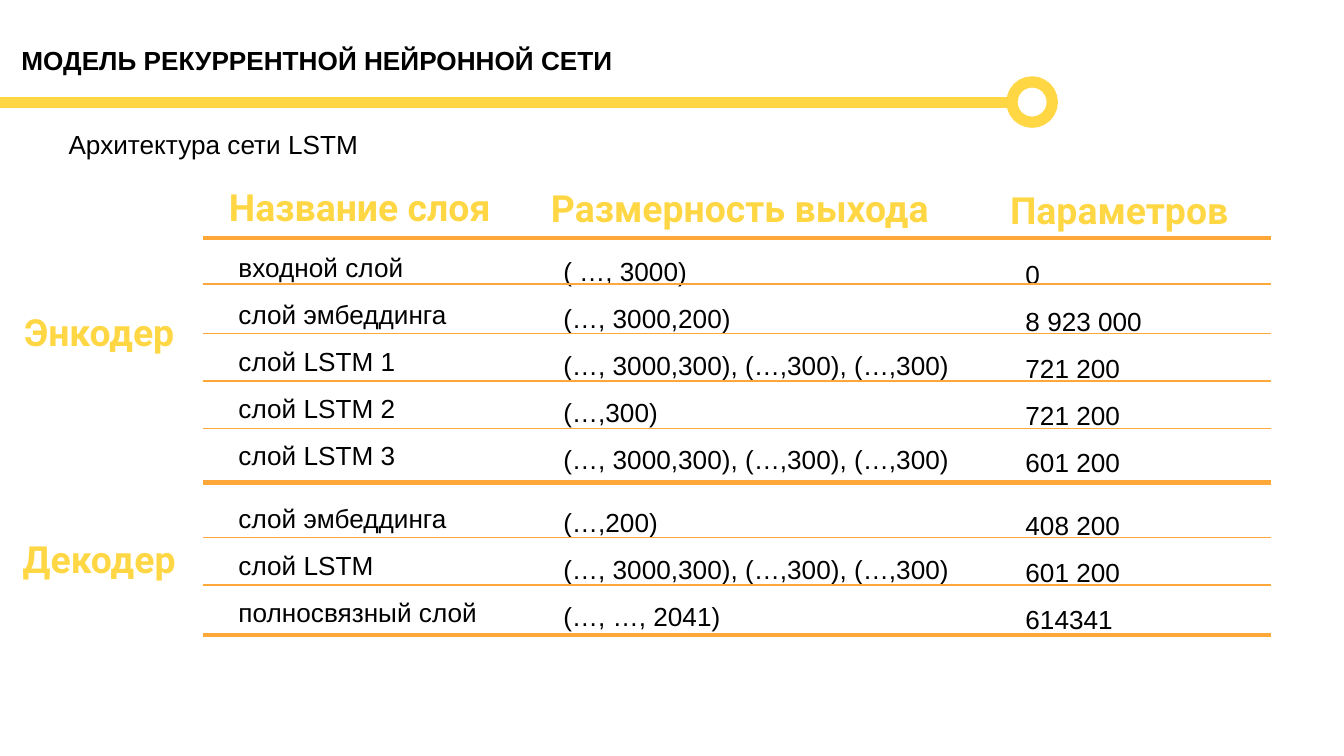
from collections import namedtuple
from lxml import etree
from pptx import Presentation
from pptx import util as u
from pptx.dml.color import RGBColor
from pptx.enum import shapes, text
from pptx.oxml.ns import qn

# The grid has 100 columns and 56.25 rows of square cells (16:9)
COLUMNS, ROWS = 100, 56.25
CELL = u.Inches(0.1)
YELLOW, ORANGE, BLACK = "FFD745", "FEA83A", "000000"
BODY = dict(name="Arial", size=u.Pt(14))
TITLE = dict(BODY, bold=True)
LABEL = dict(name="Roboto", size=u.Pt(20), bold=True)
Box = namedtuple("Box", "left top width height")


def cells(*counts):
    return [round(count * CELL) for count in counts]


def paint(color_format, color):
    color_format.rgb = RGBColor.from_string(color)


def assign(target, values):
    for name, value in values.items():
        setattr(target, name, value)


def add_text(page, box, lines, font, color=BLACK, formats=None):
    """Write one paragraph per line; a newline inside it is a line break."""
    frame = page.shapes.add_textbox(*cells(*box)).text_frame
    frame.word_wrap = True
    formats = formats or [{}] * len(lines)
    for index, (line, values) in enumerate(zip(lines, formats)):
        para = frame.add_paragraph() if index else frame.paragraphs[0]
        assign(para, values)
        for part, words in enumerate(line.split("\n")):
            if part:
                para.add_line_break()
            span = para.add_run()
            span.text = words
            assign(span.font, font)
            paint(span.font.color, color)


def add_rule(page, left, right, row, color, weight):
    rule = page.shapes.add_connector(
        shapes.MSO_CONNECTOR.STRAIGHT, *cells(left, row, right, row))
    paint(rule.line.color, color)
    rule.line.width = u.Pt(weight)
    properties = rule._element.find(qn("p:spPr"))
    etree.SubElement(properties, qn("a:effectLst"))


def add_label(page, box, words):
    add_text(page, box, [words], LABEL, YELLOW,
             [dict(alignment=text.PP_ALIGN.CENTER)])


def add_header(page, box, title, subtitle):
    # Bar that ends in a ring
    ring_size = 3
    middle = box.top + 4.8
    right = box.left + box.width
    ring = page.shapes.add_shape(
        shapes.MSO_SHAPE.OVAL,
        *cells(right, middle - ring_size / 2, ring_size, ring_size))
    ring.shadow.inherit = False
    ring.fill.background()
    paint(ring.line.color, YELLOW)
    ring.line.width = u.Pt(6)
    add_rule(page, box.left, right, middle, YELLOW, 6)

    # Title above the bar, subtitle below it
    add_text(page, Box(box.left + 0.9, box.top, 73.9, 4), [title], TITLE)
    add_text(page, Box(box.left + 4.42, box.top + 6.25, 53.4, 5), [subtitle], BODY,
             formats=[dict(alignment=text.PP_ALIGN.JUSTIFY, space_after=u.Pt(8))])


def add_layers(page, box, columns, groups):
    # Group names stand left of the rules
    for name, offset in groups:
        add_label(page, Box(box.left - 15.8, box.top + offset, 16.2, 4.5), name)

    # Each column: heading, then one paragraph per layer; decoder starts lower
    for heading, head_left, head_top, left, top, width, height, lines in columns:
        add_label(page, Box(box.left + head_left, box.top + head_top, 31.6, 4.5),
                  heading)
        formats = [dict(line_spacing=2.0 if row == 5 else 1.5)
                   for row in range(len(lines))]
        add_text(page, Box(box.left + left, box.top + top, width, height),
                 lines, BODY, formats=formats)

    # Heavy rules bound the groups, thin ones part the layers
    heavy = (0, 18.2, box.height)
    thin = (3.42, 7.12, 10.66, 14.2, 22.3, 25.82)
    for offsets, weight in ((thin, 0.75), (heavy, 2.25)):
        for offset in offsets:
            add_rule(page, box.left, box.left + box.width, box.top + offset,
                     ORANGE, weight)


LSTM_OUTPUT = "(…, 3000,300), (…,300), (…,300)"
LAYER_COLUMNS = [
    ("Название слоя", -4.1, -4.5, 1.68, -0.66, 25.9, 38.7,
     ["входной слой\t", "слой эмбеддинга\t", "слой LSTM 1", "слой LSTM 2",
      "слой LSTM 3", "слой эмбеддинга", "слой LSTM", "полносвязный слой"]),
    ("Размерность выхода", 24.17, -4.4, 25.85, -0.35, 31.6, 38.7,
     ["( …, 3000)", "(…, 3000,200)", LSTM_OUTPUT, "(…,300)",
      LSTM_OUTPUT, "(…,200)", LSTM_OUTPUT, "(…, …, 2041)"]),
    ("Параметров", 52.4, -4.25, 60.24, -0.15, 31.6, 31.1,
     ["0", "8 923 000", "721 200", "721 200",
      "601 200", "408 200", "601 200\n614341"]),
]

deck = Presentation()
deck.slide_width, deck.slide_height = cells(COLUMNS, ROWS)
page = deck.slides.add_slide(deck.slide_layouts[6])
add_header(page, Box(-0.3, 2.8, 75.6, 11.2),
           "МОДЕЛЬ РЕКУРРЕНТНОЙ НЕЙРОННОЙ СЕТИ", "Архитектура сети LSTM")
add_layers(page, Box(15.08, 17.7, 79.5, 29.57), LAYER_COLUMNS,
           [("Энкодер", 4.8), ("Декодер", 21.7)])
deck.save("out.pptx")
